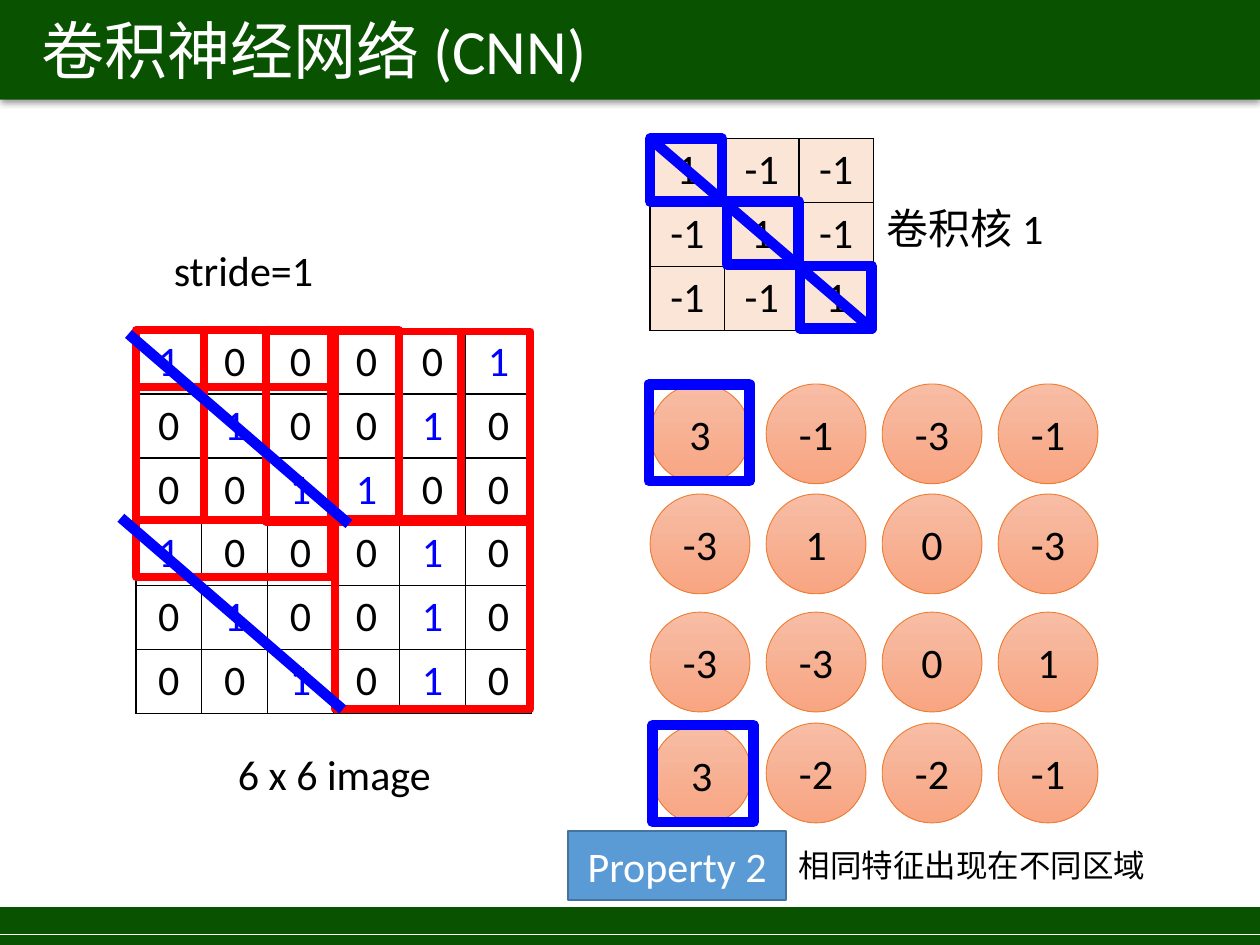
from dataclasses import dataclass

from lxml import etree
from pptx import Presentation
from pptx.dml.color import RGBColor
from pptx.enum import shapes, text
from pptx.oxml import parse_xml
from pptx.oxml.ns import nsdecls, qn
from pptx.util import Pt

FONT = "Calibri"
COLORS = {
    "green": "095200", "white": "FFFFFF", "black": "000000",
    "red": "FF0000", "blue": "0000FF", "peach": "FBE5D6",
    "orange": "ED7D31", "glow_top": "F7BDA5", "glow_end": "F8A582",
    "badge": "5B9BD5", "badge_edge": "43739E",
}
RECT, OVAL = shapes.MSO_SHAPE.RECTANGLE, shapes.MSO_SHAPE.OVAL
LEFT, CENTER = text.PP_ALIGN.LEFT, text.PP_ALIGN.CENTER


@dataclass
class Box:
    """A rectangle in points."""
    left: float
    top: float
    width: float
    height: float

    def lengths(self) -> list:
        return [Pt(v) for v in (self.left, self.top, self.width, self.height)]


@dataclass
class Label:
    words: str
    box: Box
    size: float = 24
    align: text.PP_ALIGN = CENTER
    wrap: bool = True


@dataclass
class Stroke:
    start: tuple[float, float]
    end: tuple[float, float]
    color: str = "blue"
    weight: float = 6


def rgb(name: str) -> RGBColor:
    return RGBColor.from_string(COLORS[name])


def write(frame, words: str, size: float = 24, color: str = "black", align=CENTER) -> None:
    frame.text = words
    para = frame.paragraphs[0]
    para.alignment = align
    para.font.name, para.font.size = FONT, Pt(size)
    para.font.color.rgb = rgb(color)


def add_block(page, box: Box, fill: str = "", edge: str = "", weight: float = 1, kind=RECT):
    block = page.shapes.add_shape(kind, *box.lengths())
    block.shadow.inherit = False
    if fill:
        block.fill.solid()
        block.fill.fore_color.rgb = rgb(fill)
    else:
        block.fill.background()
    if edge:
        block.line.color.rgb = rgb(edge)
        block.line.width = Pt(weight)
    else:
        block.line.fill.background()
    return block


def add_stroke(page, stroke: Stroke) -> None:
    ends = [Pt(v) for v in (*stroke.start, *stroke.end)]
    line = page.shapes.add_connector(shapes.MSO_CONNECTOR.STRAIGHT, *ends)
    line.line.color.rgb = rgb(stroke.color)
    line.line.width = Pt(stroke.weight)
    etree.SubElement(line._element.spPr, qn("a:effectLst"))


def add_label(page, label: Label) -> None:
    frame = page.shapes.add_textbox(*label.box.lengths()).text_frame
    frame.word_wrap = label.wrap
    write(frame, label.words, label.size, align=label.align)


def add_neuron(page, box: Box, value: str) -> None:
    neuron = add_block(page, box, "peach", "orange", 0.5, OVAL)
    neuron.fill.gradient()
    neuron.fill.gradient_angle = 270
    for stop, name in zip(neuron.fill.gradient_stops, ("glow_top", "glow_end")):
        stop.color.rgb = rgb(name)
    neuron.text_frame.vertical_anchor = text.MSO_ANCHOR.MIDDLE
    write(neuron.text_frame, value)


def add_matrix(page, box: Box, rows: list[str], fill: str = "", ones: str = "black") -> None:
    grid = [row.split() for row in rows]
    count = len(grid)
    table = page.shapes.add_table(count, count, *box.lengths()).table
    table.first_row = table.horz_banding = False
    for r, row in enumerate(grid):
        for c, value in enumerate(row):
            cell = table.cell(r, c)
            write(cell.text_frame, value, color=ones if value == "1" else "black")
            props = cell._tc.get_or_add_tcPr()
            for side in ("lnL", "lnR", "lnT", "lnB"):
                props.append(parse_xml(
                    f'<a:{side} {nsdecls("a")} w="12700"><a:solidFill>'
                    f'<a:srgbClr val="{COLORS["black"]}"/></a:solidFill></a:{side}>'))
            if fill:
                cell.fill.solid()
                cell.fill.fore_color.rgb = rgb(fill)
            else:
                cell.fill.background()


def add_title(page, words: str) -> None:
    title = page.shapes.title
    title.left, title.top, title.width, title.height = Box(0, -0.7, 720, 57.6).lengths()
    title.fill.solid()
    title.fill.fore_color.rgb = rgb("green")
    title._element.spPr.append(parse_xml(
        f'<a:effectLst {nsdecls("a")}><a:outerShdw blurRad="50800" dist="12700" dir="5400000">'
        f'<a:srgbClr val="{COLORS["black"]}"><a:alpha val="40000"/></a:srgbClr>'
        '</a:outerShdw></a:effectLst>'))
    frame = title.text_frame
    frame.auto_size = text.MSO_AUTO_SIZE.NONE
    frame.vertical_anchor = text.MSO_ANCHOR.MIDDLE
    frame.margin_left = Pt(23.5)
    write(frame, words, 36, "white", LEFT)


IMAGE = ["1 0 0 0 0 1", "0 1 0 0 1 0", "0 0 1 1 0 0",
         "1 0 0 0 1 0", "0 1 0 0 1 0", "0 0 1 0 1 0"]
KERNEL = ["1 -1 -1", "-1 1 -1", "-1 -1 1"]
FEATURES = ["3 -1 -3 -1", "-3 1 0 -3", "-3 -3 0 1", "3 -2 -2 -1"]
NEURON_TOPS = [219.4, 282.3, 349.8, 413.2]
WINDOWS = [(77.8, 188.6), (116.6, 188.6), (152, 189.4),
           (191.5, 189.4), (77.8, 221), (191.5, 296.6)]
KERNEL_MARKS = [(371.5, 79.2), (415.4, 115.2), (457.2, 151.9)]
FEATURE_MARKS = [(370.8, 219.6), (373, 414.4)]
LABELS = [
    Label("6 x 6 image", Box(98.6, 424.1, 185, 36)),
    Label("卷积核 1", Box(494.6, 112.3, 113.8, 36)),
    Label("stride=1", Box(92.2, 136.1, 95, 36), align=LEFT, wrap=False),
    Label("相同特征出现在不同区域", Box(449.3, 480.2, 218.9, 28.8), 18, LEFT, False),
]
DIAGONALS = [
    Stroke((371.5, 79.2), (498.2, 187.9)),
    Stroke((73.4, 190.8), (199.4, 299.5)),
    Stroke((69.1, 295.9), (195.8, 405.4)),
]


def main() -> None:
    deck = Presentation()
    deck.slide_width, deck.slide_height = Pt(720), Pt(540)
    page = deck.slides.add_slide(deck.slide_layouts[5])

    # Title bar and footer band
    add_title(page, "卷积神经网络 (CNN)")
    add_block(page, Box(0, 518.4, 720, 21.6), "green")
    add_stroke(page, Stroke((0, 534.2), (720, 534.2), "white", 0.75))

    # Input image and kernel
    add_matrix(page, Box(77.6, 188.6, 226.2, 216), IMAGE, ones="blue")
    add_matrix(page, Box(371.5, 79.2, 127.6, 108), KERNEL, fill="peach")

    # Feature map; the last row's first neuron sits slightly off the grid
    for r, row in enumerate(FEATURES):
        for c, value in enumerate(row.split()):
            dx, dy = (1, 0.8) if (r, c) == (3, 0) else (0, 0)
            add_neuron(page, Box(371.5 + 66.3 * c + dx, NEURON_TOPS[r] + dy, 57, 57), value)

    # Sliding windows and matched cells
    for left, top in WINDOWS:
        add_block(page, Box(left, top, 111.6, 108.7), edge="red", weight=4.5)
    for left, top in KERNEL_MARKS:
        add_block(page, Box(left, top, 41, 36), edge="blue", weight=6)
    for left, top in FEATURE_MARKS:
        add_block(page, Box(left, top, 57.6, 55.4), edge="blue", weight=6)

    # Property badge
    badge = add_block(page, Box(324.7, 474.8, 124.6, 39.6), "badge", "badge_edge")
    badge.text_frame.vertical_anchor = text.MSO_ANCHOR.MIDDLE
    write(badge.text_frame, "Property 2", color="white")

    # Diagonals and captions
    for stroke in DIAGONALS:
        add_stroke(page, stroke)
    for label in LABELS:
        add_label(page, label)

    deck.save("out.pptx")


if __name__ == "__main__":
    main()
